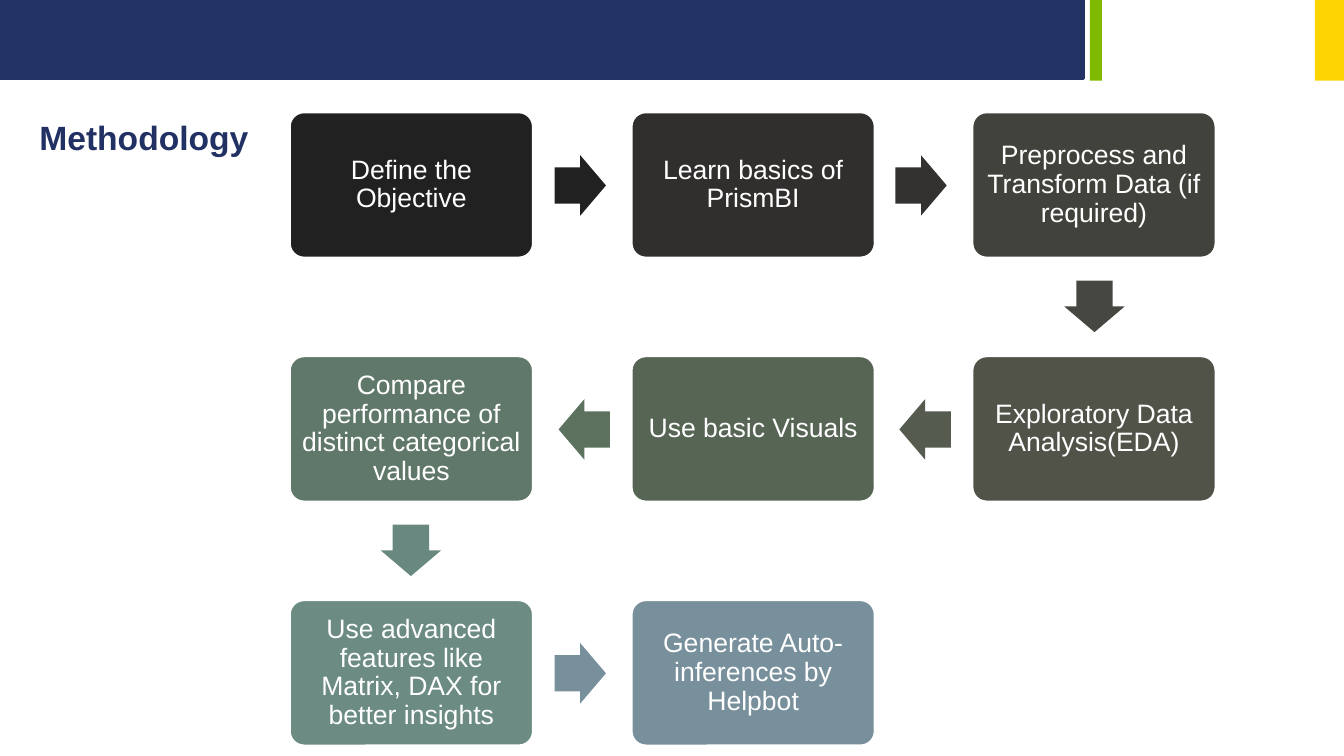
from dataclasses import dataclass

from pptx import Presentation
from pptx.dml.color import RGBColor
from pptx.enum.shapes import MSO_SHAPE
from pptx.enum.text import MSO_ANCHOR, PP_ALIGN
from pptx.util import Pt

RECT = MSO_SHAPE.RECTANGLE
ROUND = MSO_SHAPE.ROUNDED_RECTANGLE
ARROW = MSO_SHAPE.RIGHT_ARROW
TOP, MIDDLE = MSO_ANCHOR.TOP, MSO_ANCHOR.MIDDLE
LEFT, CENTER = PP_ALIGN.LEFT, PP_ALIGN.CENTER
TITLE_ONLY = 5

SCALE = 9144  # EMU in one px, 100 px to the inch
WIDE, HIGH = 1333, 750

COLS = 3
BOX_W, BOX_H = 242, 145
START_X, START_Y = 287, 111
STEP_X, STEP_Y = 338.5, 242
ARROW_W, ARROW_H = 51, 60
REACH_X, REACH_Y = 167.5, 120  # box centre to arrow centre


@dataclass(frozen=True)
class Theme:
    font: str = "Arial"
    head: int = 24
    body: int = 19
    navy: str = "213264"
    ink: str = "213163"
    green: str = "7FBA00"
    gold: str = "FED500"
    white: str = "FFFFFF"


# Step text, box colour, colour of the arrow that leaves the box
STEPS = [
    ("Define the Objective", "212121", "212121"),
    ("Learn basics of PrismBI", "312F2E", "343231"),
    ("Preprocess and Transform Data (if required)", "42423C", "474741"),
    ("Exploratory Data Analysis(EDA)", "515349", "555C4F"),
    ("Use basic Visuals", "576555", "5C725F"),
    ("Compare performance of distinct categorical values", "60786A", "698880"),
    ("Use advanced features like Matrix, DAX for better insights",
     "6B8B83", "78909C"),
    ("Generate Auto-inferences by Helpbot", "78909C", None),
]


def emu(*sizes):
    return [round(size) * SCALE for size in sizes]


class Deck:
    def __init__(self, theme):
        self.theme = theme
        self.prs = Presentation()
        self.prs.slide_width, self.prs.slide_height = emu(WIDE, HIGH)
        self.slide = self.prs.slides.add_slide(
            self.prs.slide_layouts[TITLE_ONLY])

    def shape(self, kind, area, fill, line=None):
        item = self.slide.shapes.add_shape(kind, *emu(*area))
        item.shadow.inherit = False
        item.fill.solid()
        item.fill.fore_color.rgb = RGBColor.from_string(fill)
        if line:
            item.line.color.rgb = RGBColor.from_string(line)
            item.line.width = Pt(2)
        else:
            item.line.fill.background()
        return item

    def label(self, item, text, size, color, align, anchor, bold=False):
        frame = item.text_frame
        frame.text = text
        frame.word_wrap = True
        frame.vertical_anchor = anchor
        para = frame.paragraphs[0]
        para.alignment = align
        font = para.runs[0].font
        font.name, font.size, font.bold = self.theme.font, Pt(size), bold
        font.color.rgb = RGBColor.from_string(color)
        return frame

    def title(self, text, area):
        item = self.slide.shapes.title
        item.left, item.top, item.width, item.height = emu(*area)
        self.label(item, text, self.theme.head, self.theme.ink,
                   LEFT, TOP, bold=True)

    def box(self, text, mid, fill):
        x, y = mid
        area = (x - BOX_W / 2, y - BOX_H / 2, BOX_W, BOX_H)
        item = self.shape(ROUND, area, fill, self.theme.white)
        item.adjustments[0] = 0.1
        frame = self.label(item, text, self.theme.body, self.theme.white,
                           CENTER, MIDDLE)
        frame.paragraphs[0].line_spacing = 0.9
        pad, = emu(8)
        frame.margin_left = frame.margin_right = pad
        frame.margin_top = frame.margin_bottom = pad

    def arrow(self, mid, turn, fill):
        x, y = mid
        area = (x - ARROW_W / 2, y - ARROW_H / 2, ARROW_W, ARROW_H)
        item = self.shape(ARROW, area, fill)
        item.adjustments[0], item.adjustments[1] = 0.6, 0.5
        item.rotation = turn


def place(index):
    """Centre of a step on a path that turns back at the end of each row."""
    row, col = divmod(index, COLS)
    if row % 2:
        col = COLS - 1 - col
    return (START_X + BOX_W / 2 + col * STEP_X,
            START_Y + BOX_H / 2 + row * STEP_Y)


def main():
    theme = Theme()
    deck = Deck(theme)
    deck.shape(RECT, (0, 0, 1075, 78), theme.navy, theme.navy)
    deck.shape(RECT, (1081, 0, 12, 80), theme.green)
    deck.shape(RECT, (1304, 0, 29, 80), theme.gold)
    deck.title("Methodology", (29, 111, 667, 50))

    for index, (text, fill, tint) in enumerate(STEPS):
        x, y = place(index)
        deck.box(text, (x, y), fill)
        if not tint:
            continue
        after, below = place(index + 1)
        if below > y:
            deck.arrow((x, y + REACH_Y), 90, tint)
        elif after > x:
            deck.arrow((x + REACH_X, y), 0, tint)
        else:
            deck.arrow((x - REACH_X, y), 180, tint)

    deck.prs.save("out.pptx")


if __name__ == "__main__":
    main()
